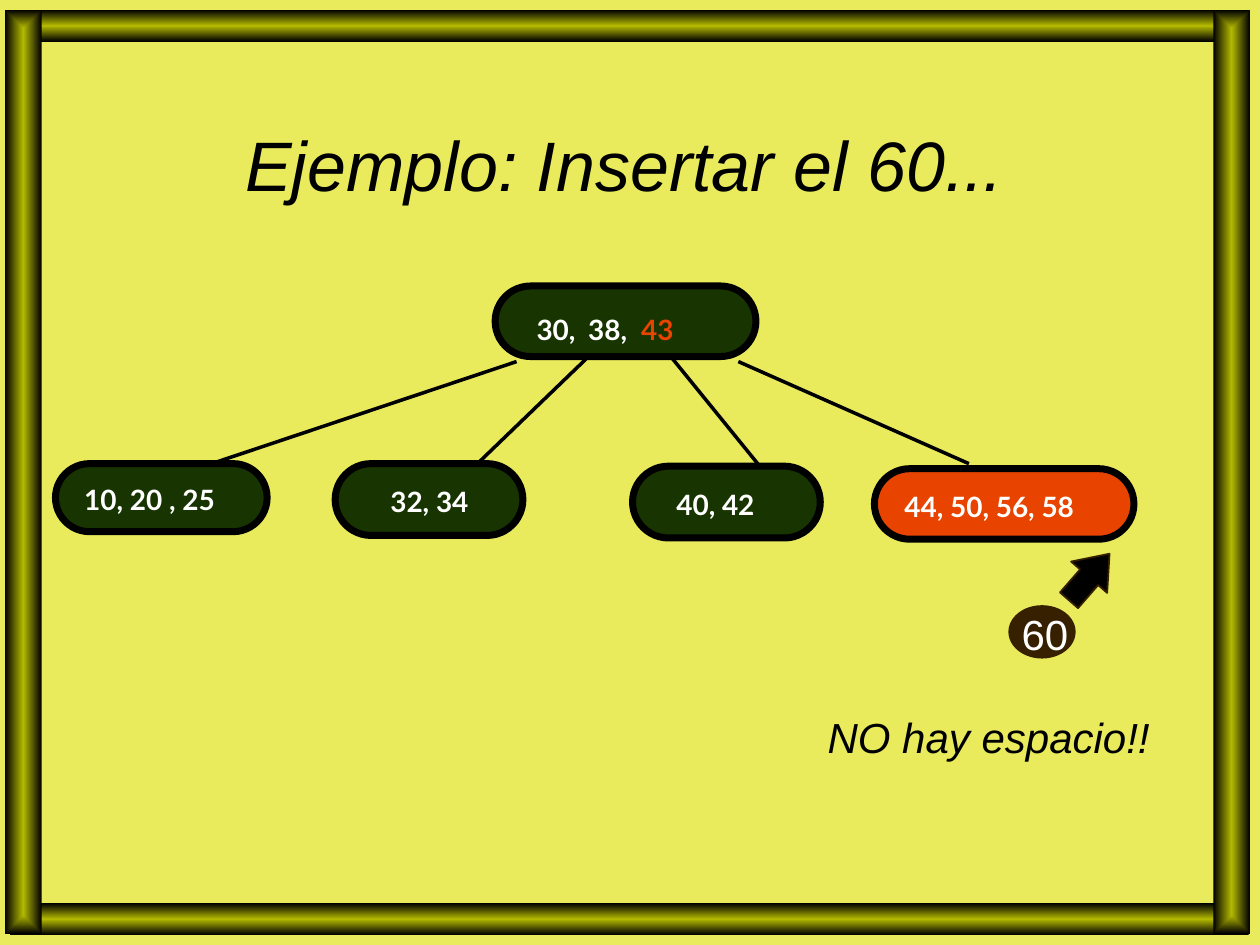
from lxml import etree
from pptx import Presentation
from pptx.dml.color import RGBColor
from pptx.enum.shapes import MSO_CONNECTOR, MSO_SHAPE
from pptx.enum.text import MSO_ANCHOR, MSO_AUTO_SIZE, PP_ALIGN
from pptx.oxml.ns import qn
from pptx.util import Inches, Pt

STRAIGHT = MSO_CONNECTOR.STRAIGHT
RECTANGLE, PILL = MSO_SHAPE.RECTANGLE, MSO_SHAPE.ROUNDED_RECTANGLE
OVAL, ARROW = MSO_SHAPE.OVAL, MSO_SHAPE.RIGHT_ARROW
TITLE_ONLY = 5

THEME = {
    "font": "Arial", "node_font": "Lato",
    "title_size": 40, "note_size": 24, "node_size": 16,
    "paper": ("EAEC5E", "E9EB5D"), "frame": ("B3B900", "000000"),
    "ink": "000000", "light": "FFFFFF", "brown": "372000",
    "node": "183400", "full": "E84400",
}

TITLE = "Ejemplo: Insertar el 60..."
FRAME = [
    (0.08, 0.08, 9.83, 0.25), (0.08, 7.17, 9.83, 0.25),
    (0.04, 0.08, 0.29, 7.33), (9.63, 0.08, 0.29, 7.33),
]
# Each node: box, fill, label box, label runs as (text, colour)
NODES = [
    ((3.93, 2.27, 2.07, 0.56), "node", (4.16, 2.43, 1.75, 0.36),
     [("30,\t38,\t", "light"), ("43", "full")]),
    ((0.44, 3.68, 1.68, 0.54), "node", (0.57, 3.78, 1.32, 0.36),
     [("10, 20 , 25", "light")]),
    ((2.66, 3.68, 1.49, 0.57), "node", (3, 3.8, 0.83, 0.36),
     [("32, 34", "light")]),
    ((5.02, 3.7, 1.49, 0.57), "node", (5.27, 3.82, 0.83, 0.36),
     [("40, 42", "light")]),
    ((6.94, 3.72, 2.06, 0.56), "full", (7.08, 3.84, 1.58, 0.36),
     [("44, 50, 56, 58", "light")]),
]
ROOT_TABS = (0.41, 0.83)
BRANCHES = [
    (4.1, 2.87, 1.65, 3.69), (4.65, 2.85, 3.81, 3.66),
    (5.34, 2.85, 6.03, 3.7), (5.86, 2.87, 7.69, 3.68),
]
NEW_KEY = ("60", (8.01, 4.81, 0.52, 0.41), (8.01, 4.78, 0.57, 0.5))
NEW_KEY_ARROW = (8.4, 4.39, 0.49, 0.38)
NOTE = ("NO hay espacio!!", (6.47, 5.6, 2.76, 0.5))


def inches(values):
    return [Inches(value) for value in values]


def color(name):
    return RGBColor.from_string(THEME[name])


def fill_from_center(fill, element, colors):
    """Give a gradient that runs from the centre out to the edges."""
    fill.gradient()
    for stop, value in zip(fill.gradient_stops, colors):
        stop.color.rgb = RGBColor.from_string(value)
    gradient = next(element.iter(qn("a:gradFill")))
    gradient.remove(gradient.find(qn("a:lin")))
    route = etree.SubElement(gradient, qn("a:path"), path="rect")
    etree.SubElement(route, qn("a:fillToRect"), l="50000", t="50000",
                     r="50000", b="50000")


def add_shape(slide, kind, place, fill=None, line=None, width=1):
    shape = slide.shapes.add_shape(kind, *inches(place))
    shape.shadow.inherit = False
    if fill:
        shape.fill.solid()
        shape.fill.fore_color.rgb = color(fill)
    if line:
        shape.line.color.rgb = color(line)
        shape.line.width = Pt(width)
    else:
        shape.line.fill.background()
    return shape


def add_branch(slide, ends):
    branch = slide.shapes.add_connector(STRAIGHT, *inches(ends))
    branch.line.color.rgb = color("ink")
    branch.line.width = Pt(2)
    etree.SubElement(branch._element.spPr, qn("a:effectLst"))


def add_label(slide, place, runs, size, font="font", bold=False,
              italic=False, tabs=()):
    box = slide.shapes.add_textbox(*inches(place))
    frame = box.text_frame
    frame.word_wrap = False
    frame.auto_size = MSO_AUTO_SIZE.SHAPE_TO_FIT_TEXT
    para = frame.paragraphs[0]
    if tabs:
        tab_list = etree.SubElement(para._p.get_or_add_pPr(), qn("a:tabLst"))
        for stop in tabs:
            etree.SubElement(tab_list, qn("a:tab"), pos=str(Inches(stop)),
                             algn="l")
    para.font.name = THEME[font]
    para.font.size = Pt(THEME[size])
    para.font.bold, para.font.italic = bold, italic
    for text, name in runs:
        span = para.add_run()
        span.text = text
        span.font.color.rgb = color(name)


def set_title(slide):
    title = slide.shapes.title
    title.left, title.top, title.width, title.height = inches(
        (0.33, 0.67, 9.25, 1.25))
    title.text_frame.text = TITLE
    title.text_frame.vertical_anchor = MSO_ANCHOR.MIDDLE
    para = title.text_frame.paragraphs[0]
    para.alignment = PP_ALIGN.CENTER
    para.font.name = THEME["font"]
    para.font.size = Pt(THEME["title_size"])
    para.font.italic = True
    para.font.color.rgb = color("ink")


def main():
    deck = Presentation()
    deck.slide_width, deck.slide_height = inches((10, 7.5))
    slide = deck.slides.add_slide(deck.slide_layouts[TITLE_ONLY])
    fill_from_center(slide.background.fill, slide._element, THEME["paper"])
    for place in FRAME:
        bar = add_shape(slide, RECTANGLE, place)
        fill_from_center(bar.fill, bar._element, THEME["frame"])
    set_title(slide)

    key, key_place, key_label = NEW_KEY
    add_shape(slide, OVAL, key_place, "brown", "brown")
    arrow = add_shape(slide, ARROW, NEW_KEY_ARROW, "ink", "brown")
    arrow.rotation = 311
    arrow.adjustments[1] = 0.65
    add_label(slide, key_label, [(key, "light")], "note_size")
    note, note_place = NOTE
    add_label(slide, note_place, [(note, "ink")], "note_size", italic=True)

    for place, fill, _, _ in NODES:
        node = add_shape(slide, PILL, place, fill, "ink", 4)
        node.adjustments[0] = 0.5
    for ends in BRANCHES:
        add_branch(slide, ends)
    for index, (_, _, place, runs) in enumerate(NODES):
        add_label(slide, place, runs, "node_size", "node_font", bold=True,
                  tabs=ROOT_TABS if index == 0 else ())
    deck.save("out.pptx")


if __name__ == "__main__":
    main()
